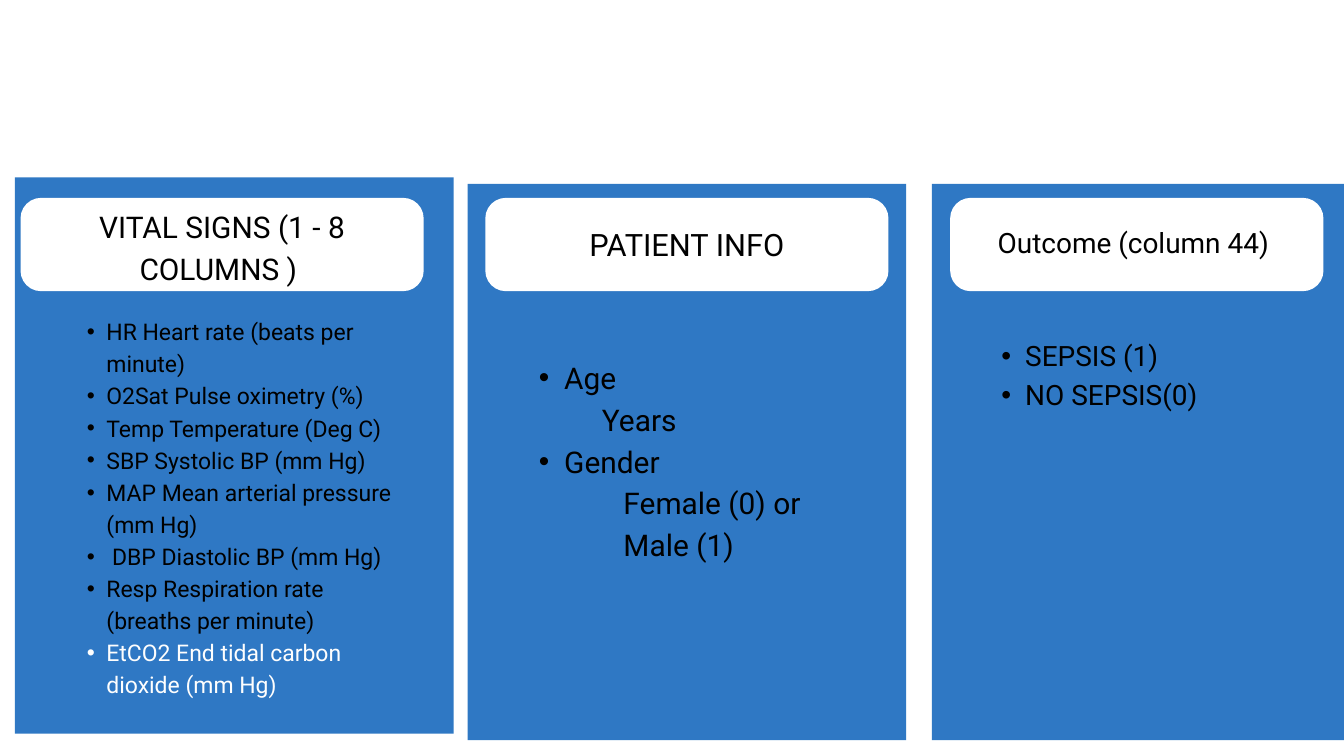
"""Build the slide listing the vital signs, patient info and outcome columns."""
from lxml import etree
from pptx import Presentation
from pptx.dml.color import RGBColor
from pptx.enum.shapes import MSO_SHAPE
from pptx.enum.text import MSO_ANCHOR, MSO_AUTO_SIZE, PP_ALIGN
from pptx.oxml.ns import qn
from pptx.util import Pt

RECT, ROUNDED = MSO_SHAPE.RECTANGLE, MSO_SHAPE.ROUNDED_RECTANGLE
LEFT, CENTER = PP_ALIGN.LEFT, PP_ALIGN.CENTER
TOP, NO_FIT = MSO_ANCHOR.TOP, MSO_AUTO_SIZE.NONE
BLUE, WHITE, BLACK, OFF_WHITE = "2F78C4", "FFFFFF", "000000", "FEFEFE"

VITAL_SIGNS = [
    "HR Heart rate (beats per minute)",
    "O2Sat Pulse oximetry (%)",
    "Temp Temperature (Deg C)",
    "SBP Systolic BP (mm Hg)",
    "MAP Mean arterial pressure (mm Hg)",
    " DBP Diastolic BP (mm Hg)",
    "Resp Respiration rate (breaths per minute)",
]


def rgb(value):
    return RGBColor.from_string(value)


def add_text(p, text, size=32, spacing=44.8, color=BLACK, align=LEFT, indent=0, hanging=0):
    p.alignment = align
    p.line_spacing = Pt(spacing)
    p.space_before = p.space_after = Pt(0)
    pPr = p._p.get_or_add_pPr()
    pPr.set("marL", str(Pt(indent)))
    pPr.set("indent", str(-Pt(hanging)))
    if hanging:
        font = etree.SubElement(pPr, qn("a:buFont"))
        font.set("typeface", "Arial")
        etree.SubElement(pPr, qn("a:buChar")).set("char", "•")
    else:
        etree.SubElement(pPr, qn("a:buNone"))
    r = p.add_run()
    r.text = text
    r.font.name = "Roboto"
    r.font.size = Pt(size)
    r.font.bold = False
    r.font.color.rgb = rgb(color)


class Deck:
    def __init__(self, prs, layout):
        self.s = prs.slides.add_slide(prs.slide_layouts[layout])
        self.holders = {sp.placeholder_format.idx: sp for sp in self.s.placeholders}

    def block(self, kind, box, fill, radius=None):
        sp = self.s.shapes.add_shape(kind, *map(Pt, box))
        sp.shadow.inherit = False
        sp.fill.solid()
        sp.fill.fore_color.rgb = rgb(fill)
        sp.line.fill.background()
        if radius:
            sp.adjustments[0] = radius / min(box[2:])

    def text(self, box, paragraphs, holder=None, **style):
        if holder is None:
            sp = self.s.shapes.add_textbox(0, 0, 0, 0)
        else:
            sp = self.holders[holder]
            self.s.shapes._spTree.append(sp._element)
        sp.left, sp.top, sp.width, sp.height = map(Pt, box)
        tf = sp.text_frame
        tf.word_wrap = True
        tf.auto_size = NO_FIT
        tf.vertical_anchor = TOP
        tf.margin_left = tf.margin_top = tf.margin_right = tf.margin_bottom = 0
        for i, (text, own) in enumerate(paragraphs):
            p = tf.paragraphs[0] if i == 0 else tf.add_paragraph()
            add_text(p, text, **{**style, **own})


def main():
    prs = Presentation()
    prs.slide_width, prs.slide_height = Pt(1440), Pt(810)
    deck = Deck(prs, 4)

    columns = [
        (16, 190, 22, 432, 217, 0, "VITAL SIGNS (1 - 8 COLUMNS ) ", 32),
        (501, 197, 520, 432, 235, 1, "PATIENT INFO", 33),
        (998.5, 197, 1018, 400, 236, 3, "Outcome (column 44) ", 30),
    ]
    for x, y, card_x, card_w, text_y, holder, heading, size in columns:
        deck.block(RECT, (x, y, 470, 596), BLUE)
        deck.block(ROUNDED, (card_x, 212, card_w, 100), WHITE, radius=22)
        deck.text((card_x, text_y, card_w, 86), [(heading, {})], holder,
                  size=size, spacing=size * 1.4, align=CENTER)

    signs = [(sign, {}) for sign in VITAL_SIGNS]
    signs.append(("EtCO2 End tidal carbon dioxide (mm Hg)", {"color": OFF_WHITE}))
    deck.text((72, 335.5, 352, 454), signs, 2,
              size=24.6, spacing=34.4, indent=42, hanging=21)

    bullet = {"indent": 54.5, "hanging": 27.25}
    patient = [
        ("Age", bullet),
        ("Years", {"indent": 95}),
        ("Gender", bullet),
        ("Female (0) or Male (1)", {"indent": 118}),
    ]
    deck.text((550, 379, 352, 269), patient, 4)

    deck.text((1047.5, 357, 243, 130), [("SEPSIS (1)", {}), ("NO SEPSIS(0)", {})],
              size=30, spacing=42, indent=51, hanging=25.5)

    prs.save("out.pptx")


if __name__ == "__main__":
    main()
